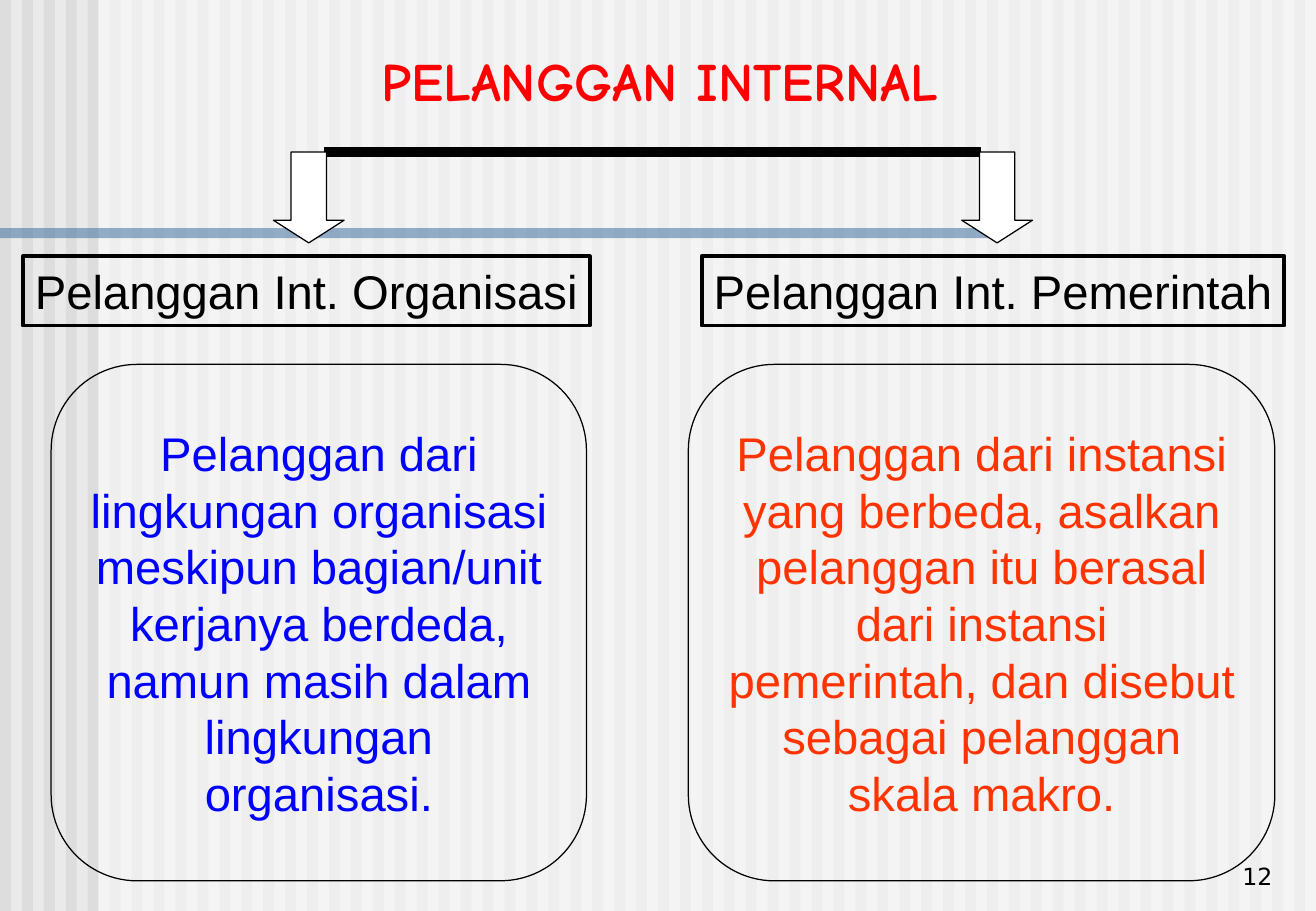
"""Build the slide on internal customers, with two branches under one heading."""
import pptx
import pptx.util
import pptx.dml.color
import pptx.enum.shapes
import pptx.enum.text
import pptx.oxml
import pptx.oxml.ns

Cm, Pt = pptx.util.Cm, pptx.util.Pt
RGB = pptx.dml.color.RGBColor
FORM = pptx.enum.shapes.MSO_SHAPE
ALIGN = pptx.enum.text.PP_ALIGN
ANCHOR = pptx.enum.text.MSO_ANCHOR
FIT = pptx.enum.text.MSO_AUTO_SIZE

BLACK, WHITE = RGB(0, 0, 0), RGB(255, 255, 255)
PAPER, STRIPE = RGB(0xEA, 0xEA, 0xEA), RGB(0xDD, 0xDD, 0xDD)
STEEL, RED = RGB(0x33, 0x66, 0x99), RGB(255, 0, 0)
BLUE, ORANGE = RGB(0, 0, 255), RGB(0xFF, 0x33, 0)

TITLE = "PELANGGAN INTERNAL"
NUMBER = "12"
BRANCHES = [
    {"head": "Pelanggan Int. Organisasi",
     "text": "Pelanggan dari lingkungan organisasi meskipun bagian/unit kerjanya "
             "berdeda, namun masih dalam lingkungan organisasi.",
     "color": BLUE, "arrow": 5.72, "label": (0.48, 11.86), "panel": (1.07, 11.2)},
    {"head": "Pelanggan Int. Pemerintah",
     "text": "Pelanggan dari instansi yang berbeda, asalkan pelanggan itu berasal "
             "dari instansi pemerintah, dan disebut sebagai pelanggan skala makro.",
     "color": ORANGE, "arrow": 20.12, "label": (14.68, 12.19), "panel": (14.4, 12.27)},
]

WIDE, HIGH = 27.53, 19.05
STRIPES = 60
BAR_TOP = 3.18


def shape(slide, form, left, top, width, height, fill=None, line=0, alpha=None):
    """Add a preset shape with plain fill and black outline."""
    item = slide.shapes.add_shape(form, Cm(left), Cm(top), Cm(width), Cm(height))
    item.shadow.inherit = False
    if fill is None:
        item.fill.background()
    else:
        item.fill.solid()
        item.fill.fore_color.rgb = fill
    if alpha:
        tint = item.element.spPr.find(".//" + pptx.oxml.ns.qn("a:srgbClr"))
        tint.append(pptx.oxml.parse_xml(
            f'<a:alpha {pptx.oxml.ns.nsdecls("a")} val="{alpha * 1000}"/>'))
    if line:
        item.line.color.rgb = BLACK
        item.line.width = Pt(line)
    else:
        item.line.fill.background()
    return item


def write(item, text, font, size, color, align, anchor, bold=False, wrap=True):
    """Put one formatted paragraph in a shape."""
    frame = item.text_frame
    frame.word_wrap = wrap
    frame.vertical_anchor = anchor
    frame.text = text
    line = frame.paragraphs[0]
    line.alignment = align
    line.font.name, line.font.size = font, Pt(size)
    line.font.color.rgb, line.font.bold = color, bold
    return frame


def backdrop(slide):
    """Draw the striped paper, the pale veil and the steel band."""
    slide.background.fill.solid()
    slide.background.fill.fore_color.rgb = PAPER
    pitch = WIDE / STRIPES
    for i in range(STRIPES):
        shape(slide, FORM.RECTANGLE, i * pitch, 0, pitch / 2, HIGH, STRIPE)
    shape(slide, FORM.RECTANGLE, 2.06, 0, WIDE - 2.06, HIGH, WHITE, alpha=50)
    shape(slide, FORM.RECTANGLE, 0, 4.77, 20.9, 0.21, STEEL, alpha=50)


def branch(slide, part):
    """Draw one arrow with its label and panel."""
    arrow = shape(slide, FORM.DOWN_ARROW, part["arrow"], BAR_TOP, 1.48, 1.9, WHITE, 0.75)
    arrow.adjustments[1] = 0.32
    left, width = part["label"]
    label = shape(slide, FORM.RECTANGLE, left, 5.36, width, 1.45, line=2.25)
    frame = write(label, part["head"], "Arial", 28, BLACK, ALIGN.LEFT, ANCHOR.TOP, wrap=False)
    frame.auto_size = FIT.SHAPE_TO_FIT_TEXT
    left, width = part["panel"]
    panel = shape(slide, FORM.ROUNDED_RECTANGLE, left, 7.62, width, 10.8, line=0.75)
    write(panel, part["text"], "Arial", 28, part["color"], ALIGN.CENTER, ANCHOR.MIDDLE)


def main():
    """Build and save the deck."""
    deck = pptx.Presentation()
    deck.slide_width, deck.slide_height = Cm(WIDE), Cm(HIGH)
    slide = deck.slides.add_slide(deck.slide_layouts[5])
    backdrop(slide)

    page = slide.shapes.add_textbox(Cm(21.13), Cm(17.48), Cm(5.74), Cm(1.27))
    write(page, NUMBER, "DejaVu Sans", 14, BLACK, ALIGN.RIGHT, ANCHOR.BOTTOM)

    bar = slide.shapes.add_connector(pptx.enum.shapes.MSO_CONNECTOR.STRAIGHT,
                                     Cm(6.78), Cm(BAR_TOP), Cm(20.53), Cm(BAR_TOP))
    bar.line.color.rgb, bar.line.width = BLACK, Pt(6)
    bar.element.spPr.append(pptx.oxml.parse_xml(
        f'<a:effectLst {pptx.oxml.ns.nsdecls("a")}/>'))

    for part in BRANCHES:
        branch(slide, part)

    title = slide.shapes.title
    title.left, title.top, title.width, title.height = Cm(5.72), Cm(0.85), Cm(16.18), Cm(1.62)
    frame = write(title, TITLE, "Comic Neue", 32, RED, ALIGN.CENTER, ANCHOR.BOTTOM, bold=True)
    frame.auto_size = FIT.SHAPE_TO_FIT_TEXT
    title.element.getparent().append(title.element)
    deck.save("out.pptx")


if __name__ == "__main__":
    main()
